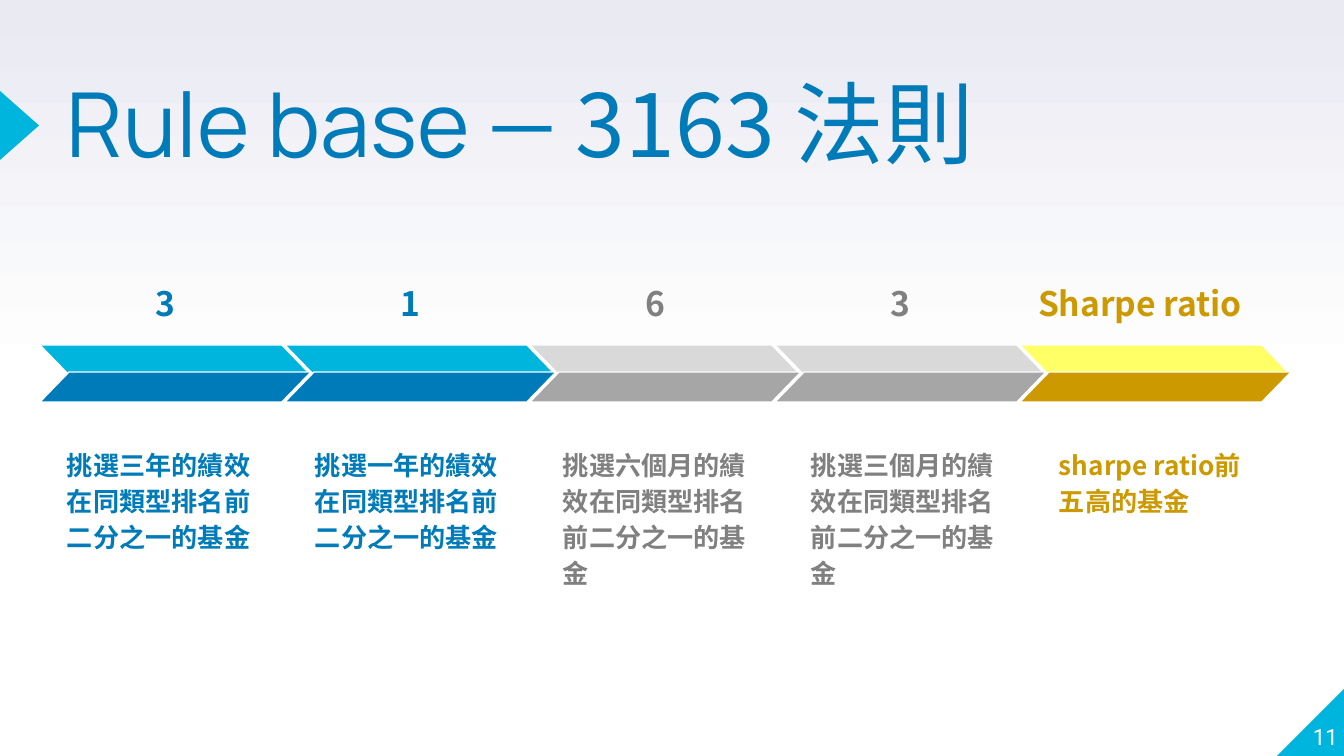
from copy import deepcopy

from lxml import etree
from pptx import Presentation
from pptx.dml.color import RGBColor
from pptx.enum.shapes import MSO_SHAPE
from pptx.enum.text import MSO_ANCHOR, PP_ALIGN
from pptx.oxml.ns import qn
from pptx.util import Pt

SCALE = 914400 / 134.4
TOP, BOTTOM = MSO_ANCHOR.TOP, MSO_ANCHOR.BOTTOM
LEFT, RIGHT = PP_ALIGN.LEFT, PP_ALIGN.RIGHT
PARALLELOGRAM = MSO_SHAPE.PARALLELOGRAM
TRIANGLE = MSO_SHAPE.ISOSCELES_TRIANGLE
CORNER = MSO_SHAPE.RIGHT_TRIANGLE

WHITE = RGBColor(0xFF, 0xFF, 0xFF)
LAVENDER = RGBColor(0xE9, 0xEA, 0xF2)
CYAN = RGBColor(0x00, 0xB5, 0xDD)
BLUE = RGBColor(0x00, 0x7B, 0xB9)
LIGHT_GRAY = RGBColor(0xD9, 0xD9, 0xD9)
MID_GRAY = RGBColor(0xA6, 0xA6, 0xA6)
GRAY = RGBColor(0x80, 0x80, 0x80)
YELLOW = RGBColor(0xFF, 0xFF, 0x66)
GOLD = RGBColor(0xCC, 0x99, 0x00)

CJK, LATIN, NUMBER = "Noto Sans CJK SC", "Manrope", "Roboto"

TITLE = [("Rule base — ", LATIN), ("3163 法則", CJK)]
PAGE_NUMBER = "11"
BACKGROUND = [(0, WHITE), (0.5, WHITE), (1, LAVENDER)]
BLUES = (CYAN, BLUE, BLUE)
GRAYS = (LIGHT_GRAY, MID_GRAY, GRAY)
GOLDS = (YELLOW, GOLD, GOLD)
STEPS = [
    ("3", "挑選三年的績效在同類型排名前二分之一的基金", BLUES),
    ("1", "挑選一年的績效在同類型排名前二分之一的基金", BLUES),
    ("6", "挑選六個月的績效在同類型排名前二分之一的基金", GRAYS),
    ("3", "挑選三個月的績效在同類型排名前二分之一的基金", GRAYS),
    ("Sharpe ratio", "sharpe ratio前五高的基金", GOLDS),
]
BAR_LEFT, BAR_STEP, BAR_WIDTH, BAR_HEIGHT = 40, 245, 271, 30
NOTE_LEFT, NOTE_STEP = 54, 248


def px(*lengths):
    return [round(length * SCALE) for length in lengths]


def add_span(para, text, font, size, color, bold=False):
    span = para.add_run()
    span.text = text
    span.font.name = font
    span.font.size = Pt(size)
    span.font.bold = bold
    span.font.color.rgb = color
    east_asian = etree.SubElement(span.font._element, qn("a:ea"))
    east_asian.set("typeface", font)


def format_frame(frame, anchor, inset):
    frame.word_wrap = True
    frame.vertical_anchor = anchor
    margin = px(inset)[0]
    frame.margin_left = frame.margin_right = margin
    frame.margin_top = frame.margin_bottom = margin


def add_text(page, area, text, font, size, color, anchor=TOP, inset=13,
             align=LEFT, spacing=1.15, bold=True):
    box = page.shapes.add_textbox(*px(*area))
    format_frame(box.text_frame, anchor, inset)
    para = box.text_frame.paragraphs[0]
    para.alignment = align
    para.line_spacing = spacing
    add_span(para, text, font, size, color, bold)


def add_shape(page, kind, area, color, flip=False, outline=False):
    shape = page.shapes.add_shape(kind, *px(*area))
    shape.shadow.inherit = False
    shape.fill.solid()
    shape.fill.fore_color.rgb = color
    if outline:
        shape.line.color.rgb = WHITE
        shape.line.width = Pt(0.75)
    else:
        shape.line.fill.background()
    if flip:
        shape.element.spPr.find(qn("a:xfrm")).set("flipH", "1")
    return shape


def paint_background(page):
    fill = page.background.fill
    fill.gradient()
    fill.gradient_angle = 90
    stop_list = page.element.find(".//" + qn("a:gsLst"))
    stop_list.insert(1, deepcopy(stop_list[0]))
    for stop, (position, color) in zip(fill.gradient_stops, BACKGROUND):
        stop.position = position
        stop.color.rgb = color


def add_title(page):
    title = page.shapes.title
    title.left, title.top, title.width, title.height = px(67, 89, 1027, 158)
    format_frame(title.text_frame, TOP, 0)
    para = title.text_frame.paragraphs[0]
    para.alignment = LEFT
    para.line_spacing = 0.8
    for text, font in TITLE:
        add_span(para, text, font, 48, BLUE)


def add_step(page, index, label, note, colors):
    upper, lower, ink = colors
    left = BAR_LEFT + index * BAR_STEP
    offset, width = (102, 66) if len(label) == 1 else (5, 246)
    add_text(page, (left + offset, 250, width, 86), label, CJK, 18, ink, BOTTOM)
    for top, color, flip in ((345, upper, True), (372, lower, False)):
        bar = add_shape(page, PARALLELOGRAM, (left, top, BAR_WIDTH, BAR_HEIGHT),
                        color, flip, outline=True)
        bar.adjustments[0] = 0.97
    add_text(page, (NOTE_LEFT + index * NOTE_STEP, 432, 227, 141),
             note, CJK, 14, ink)


def main():
    deck = Presentation()
    deck.slide_width, deck.slide_height = px(1344, 756)
    page = deck.slides.add_slide(deck.slide_layouts[5])
    paint_background(page)
    add_shape(page, CORNER, (1277, 687, 69, 69), CYAN, flip=True)
    add_shape(page, TRIANGLE, (-15, 106, 69, 39), CYAN).rotation = 90
    add_title(page)
    add_text(page, (1271, 681, 67, 69), PAGE_NUMBER, NUMBER, 12, WHITE,
             BOTTOM, 0, RIGHT, 1.0, False)
    for index, step in enumerate(STEPS):
        add_step(page, index, *step)
    deck.save("out.pptx")


if __name__ == "__main__":
    main()
